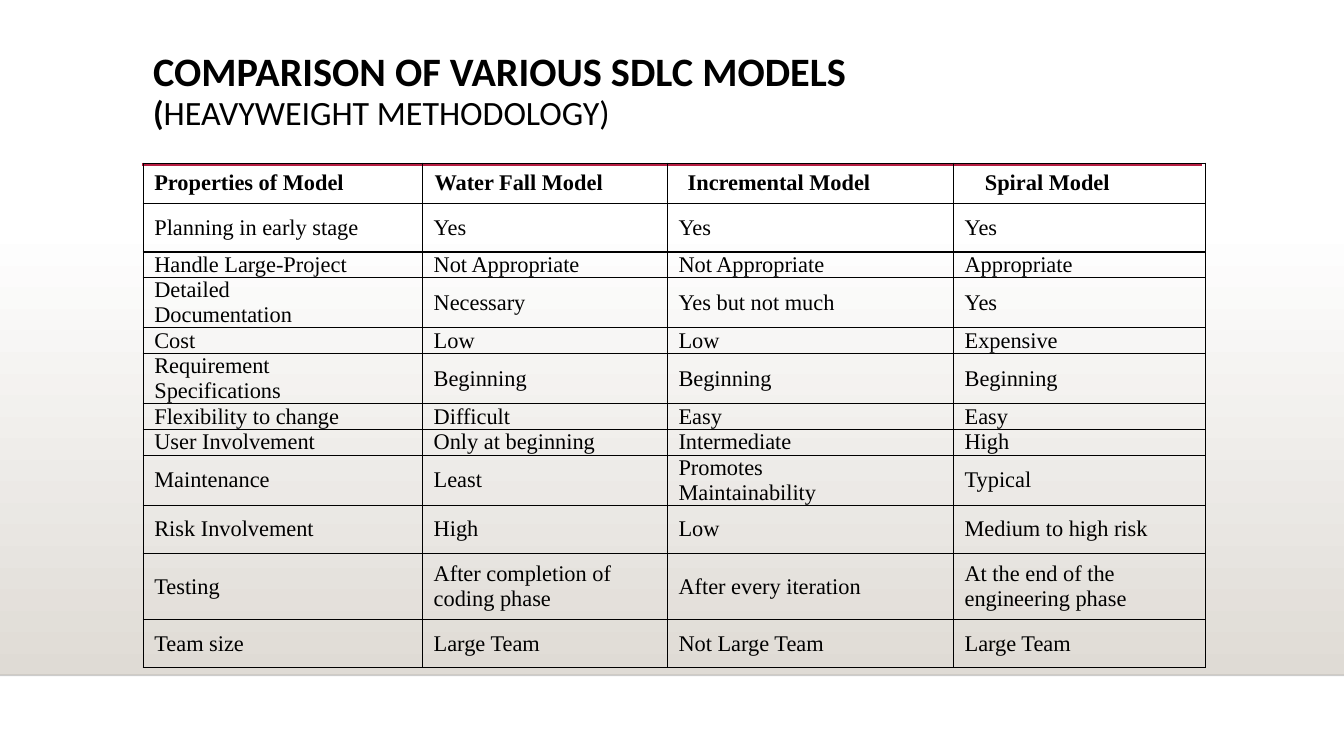
from lxml import etree
from pptx import Presentation
from pptx.dml.color import RGBColor
from pptx.enum.shapes import MSO_CONNECTOR, MSO_SHAPE
from pptx.enum.text import MSO_ANCHOR
from pptx.oxml.ns import qn
from pptx.util import Cm, Pt

STRAIGHT = MSO_CONNECTOR.STRAIGHT
RECTANGLE = MSO_SHAPE.RECTANGLE
TOP = MSO_ANCHOR.TOP
MIDDLE = MSO_ANCHOR.MIDDLE

HEADING = "COMPARISON OF VARIOUS SDLC MODELS"
SUBHEADING = [("(", True), ("HEAVYWEIGHT METHODOLOGY)", False)]
COMPARISON = [
    ("Properties of Model", "Water Fall Model", "Incremental Model", "Spiral Model"),
    ("Planning in early stage", "Yes", "Yes", "Yes"),
    ("Handle Large-Project", "Not Appropriate", "Not Appropriate", "Appropriate"),
    ("Detailed Documentation", "Necessary", "Yes but not much", "Yes"),
    ("Cost", "Low", "Low", "Expensive"),
    ("Requirement Specifications", "Beginning", "Beginning", "Beginning"),
    ("Flexibility to change", "Difficult", "Easy", "Easy"),
    ("User Involvement", "Only at beginning", "Intermediate", "High"),
    ("Maintenance", "Least", "Promotes Maintainability", "Typical"),
    ("Risk Involvement", "High", "Low", "Medium to high risk"),
    ("Testing", "After completion of coding phase", "After every iteration",
     "At the end of the engineering phase"),
    ("Team size", "Large Team", "Not Large Team", "Large Team"),
]

THEME = {
    "ink": "000000", "paper": "FFFFFF", "floor": "DFDBD5", "accent": "B71E42",
    "title_font": "Calibri", "table_font": "Times New Roman",
    "heading": 28.8, "subheading": 24.3, "cell": 16,
    "accent_line": 2.5, "thin_line": 1,
}

SLIDE_W, SLIDE_H = 33.87, 19.05
PANEL_TOP, PANEL_BOTTOM = 5.61, 17.02
TABLE_LEFT, TABLE_TOP = 3.61, 4.11
COLUMN_WIDTHS = [7.04, 6.17, 7.21, 6.35]
HEADER_INDENTS = [0.28, 0.3, 0.51, 0.79]
BODY_INDENT = 0.28
RIGHT_PADDING = [1.5, 0.3, 1.5, 0.3]
SINGLE, DOUBLE, MEDIUM = 0.65, 1.26, 1.22
ROW_HEIGHTS = [1.02, MEDIUM, SINGLE, DOUBLE, SINGLE, DOUBLE,
               SINGLE, SINGLE, DOUBLE, MEDIUM, 1.66, MEDIUM]


def rgb(role):
    return RGBColor.from_string(THEME[role])


def apply(target, formats):
    for attribute, value in formats.items():
        setattr(target, attribute, value)


def style_font(font, family, size, bold):
    apply(font, {"name": THEME[family], "size": Pt(THEME[size]), "bold": bold})
    font.color.rgb = rgb("ink")


def add_rule(slide, left, right, y, role, weight, opacity=100):
    rule = slide.shapes.add_connector(STRAIGHT, Cm(left), Cm(y), Cm(right), Cm(y))
    rule.line.color.rgb = rgb(role)
    rule.line.width = Pt(THEME[weight])
    properties = rule.line._ln.getparent()
    etree.SubElement(properties, qn("a:effectLst"))
    if opacity < 100:
        color = properties.find(".//" + qn("a:srgbClr"))
        etree.SubElement(color, qn("a:alpha"), val=str(opacity * 1000))


def add_panel(slide):
    panel = slide.shapes.add_shape(RECTANGLE, 0, Cm(PANEL_TOP), Cm(SLIDE_W),
                                   Cm(PANEL_BOTTOM - PANEL_TOP))
    panel.shadow.inherit = False
    panel.line.fill.background()
    panel.fill.gradient()
    panel.fill.gradient_angle = 270
    for stop, role in zip(panel.fill.gradient_stops, ("paper", "floor")):
        stop.color.rgb = rgb(role)


def add_title(slide):
    title = slide.shapes.add_textbox(Cm(TABLE_LEFT), Cm(1.19), Cm(25.43), Cm(2.5))
    apply(title.text_frame, {"word_wrap": True, "vertical_anchor": TOP})
    paragraph = title.text_frame.paragraphs[0]
    paragraph.line_spacing = 0.9
    heading = paragraph.add_run()
    heading.text = HEADING
    style_font(heading.font, "title_font", "heading", True)
    paragraph.add_line_break()
    for words, bold in SUBHEADING:
        run = paragraph.add_run()
        run.text = words
        style_font(run.font, "title_font", "subheading", bold)


def border_cell(cell):
    properties = cell._tc.get_or_add_tcPr()
    for position, side in enumerate(("lnL", "lnR", "lnT", "lnB")):
        border = etree.Element(qn("a:" + side), w=str(Pt(THEME["thin_line"])))
        fill = etree.SubElement(border, qn("a:solidFill"))
        etree.SubElement(fill, qn("a:srgbClr"), val=THEME["ink"])
        properties.insert(position, border)


def add_comparison(slide):
    table = slide.shapes.add_table(
        len(COMPARISON), len(COLUMN_WIDTHS), Cm(TABLE_LEFT), Cm(TABLE_TOP),
        Cm(sum(COLUMN_WIDTHS)), Cm(sum(ROW_HEIGHTS))).table
    apply(table, {"first_row": False, "horz_banding": False})
    for column, width in zip(table.columns, COLUMN_WIDTHS):
        column.width = Cm(width)
    for row, height in zip(table.rows, ROW_HEIGHTS):
        row.height = Cm(height)
    for r, entries in enumerate(COMPARISON):
        is_header = r == 0
        for c, entry in enumerate(entries):
            cell = table.cell(r, c)
            indent = HEADER_INDENTS[c] if is_header else BODY_INDENT
            apply(cell, {
                "text": entry, "vertical_anchor": MIDDLE,
                "margin_left": Cm(indent), "margin_right": Cm(RIGHT_PADDING[c]),
                "margin_top": 0, "margin_bottom": 0,
            })
            cell.fill.background()
            border_cell(cell)
            run = cell.text_frame.paragraphs[0].runs[0]
            style_font(run.font, "table_font", "cell", is_header)


def main():
    deck = Presentation()
    apply(deck, {"slide_width": Cm(SLIDE_W), "slide_height": Cm(SLIDE_H)})
    slide = deck.slides.add_slide(deck.slide_layouts[6])
    add_panel(slide)
    add_rule(slide, 0, SLIDE_W, PANEL_BOTTOM, "ink", "thin_line", 20)
    add_rule(slide, 3.58, 30.28, 4.14, "accent", "accent_line")
    add_comparison(slide)
    add_title(slide)
    deck.save("out.pptx")


if __name__ == "__main__":
    main()
